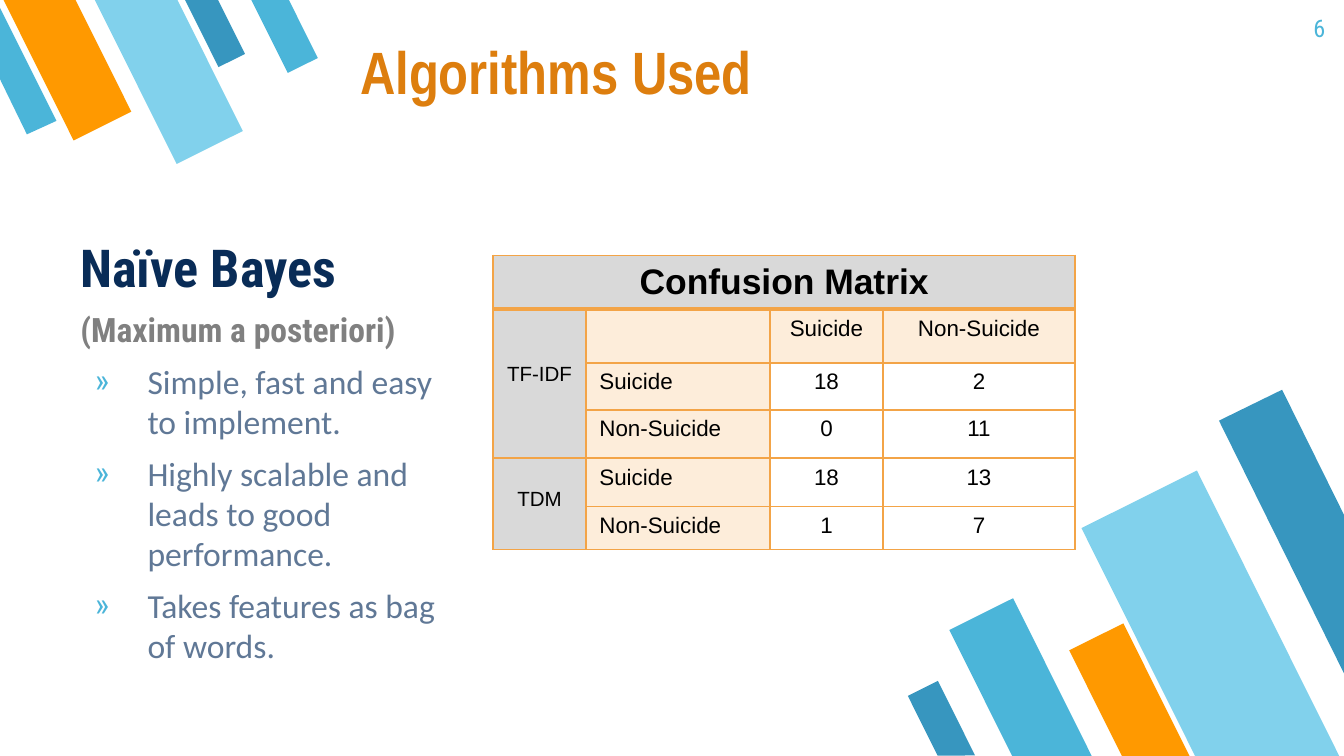
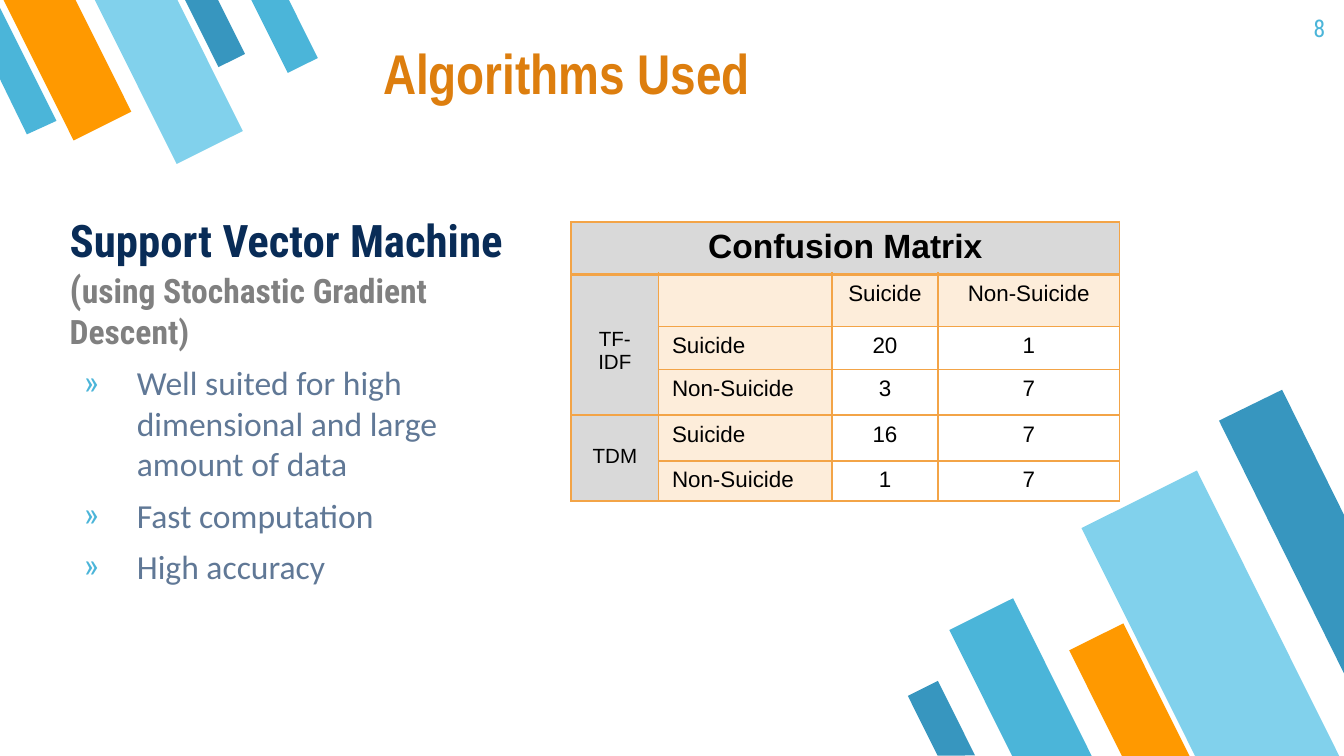
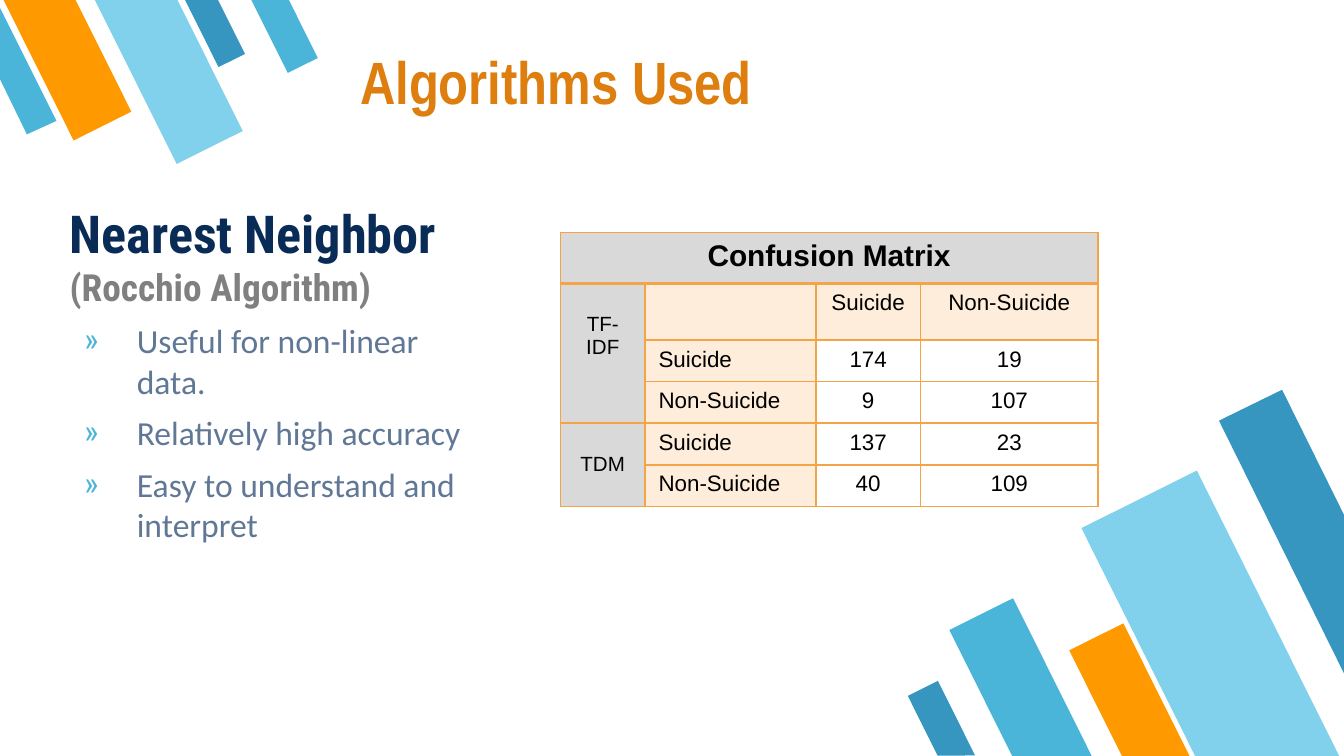
from lxml import etree
from pptx import Presentation
from pptx.dml.color import RGBColor
from pptx.enum.shapes import MSO_SHAPE
from pptx.enum.text import MSO_ANCHOR, MSO_AUTO_SIZE, PP_ALIGN
from pptx.oxml.ns import qn
from pptx.util import Pt

PX = 9144  # EMU per px, 100 px to the inch
BAR = MSO_SHAPE.FLOWCHART_MANUAL_INPUT
LEFT, CENTER, RIGHT = PP_ALIGN.LEFT, PP_ALIGN.CENTER, PP_ALIGN.RIGHT
BOTTOM, TOP = MSO_ANCHOR.BOTTOM, MSO_ANCHOR.TOP
NO_FIT = MSO_AUTO_SIZE.NONE

COLORS = {
    "blue": "4BB5D9", "pale_blue": "81D1EC", "deep_blue": "3796BF", "orange": "FF9900",
    "title": "DD7E0E", "heading": "092C57", "subtitle": "808080", "bullet_text": "607896",
    "border": "F3A447", "grey": "D9D9D9", "cream": "FDEDDA", "black": "000000",
}
FRAME = {"word_wrap": True, "auto_size": NO_FIT, "margin_left": 10 * PX,
         "margin_right": 10 * PX, "margin_top": 10 * PX, "margin_bottom": 10 * PX}

# left, top, width, height, rotation, color
BARS = [
    (733, 450, 53, 132, 153.5, "blue"),
    (853, 359, 96, 239, 153.5, "pale_blue"),
    (818, 468, 45, 111, 153.5, "orange"),
    (688, 509, 25, 62, 153.5, "deep_blue"),
    (149, -8, 22, 56, 333.5, "deep_blue"),
    (26, -18, 48, 118, 333.5, "orange"),
    (98, -20, 55, 137, 333.5, "pale_blue"),
    (199, -10, 25, 62, 333.5, "blue"),
]
CUT_BARS = [
    ([(954, 290), (907, 313), (1000, 501), (1000, 383)], "deep_blue"),
    ([(20, 100), (42, 90), (0, 6), (0, 59)], "blue"),
]

ALGORITHMS = [
    {
        "number": "6", "title_box": (258, 15, 630, 74), "title_size": 32,
        "body_box": (50, 165, 300, 276), "heading": ("Naïve Bayes", 28),
        "subtitle": [("(Maximum a posteriori)", 18)], "subtitle_gap": 6,
        "bullets": ["Simple, fast and easy to implement.",
                    "Highly scalable and leads to good performance.",
                    "Takes features as bag of words."],
        "table_box": (367, 190, 433, 221), "columns": (69, 137, 84, 143),
        "rows": (40, 40, 35, 36, 36, 32), "caption_size": 19, "tfidf_inset": 40,
        "counts": [("18", "2"), ("0", "11"), ("18", "13"), ("1", "7")],
    },
    {
        "number": "8", "title_box": (275, 15, 630, 74), "title_size": 30,
        "body_box": (42, 148, 375, 276), "heading": ("Support Vector Machine", 24),
        "subtitle": [("(", 20), ("using Stochastic Gradient Descent)", 18)], "subtitle_gap": 0,
        "bullets": ["Well suited for high dimensional and large amount of data",
                    "Fast computation", "High accuracy"],
        "table_box": (425, 165, 408, 210), "columns": (65, 129, 79, 135),
        "rows": (39, 39, 32, 34, 34, 30), "caption_size": 18, "tfidf_inset": 40,
        "counts": [("20", "1"), ("3", "7"), ("16", "7"), ("1", "7")],
    },
    {
        "number": None, "title_box": (258, 23, 638, 74), "title_size": 32,
        "body_box": (42, 140, 333, 284), "heading": ("Nearest Neighbor", 28),
        "subtitle": [("(Rocchio Algorithm)", 20)], "subtitle_gap": 0,
        "bullets": ["Useful for non-linear data.", "Relatively high accuracy",
                    "Easy to understand and interpret"],
        "table_box": (417, 173, 400, 205), "columns": (63, 127, 78, 132),
        "rows": (38, 42, 31, 31, 31, 31), "caption_size": 16, "tfidf_inset": 22,
        "counts": [("174", "19"), ("9", "107"), ("137", "23"), ("40", "109")],
    },
]


def add_text(paragraph, text, font, size, color, bold=False):
    run = paragraph.add_run()
    run.text = text
    for name, value in {"name": font, "size": Pt(size), "bold": bold}.items():
        setattr(run.font, name, value)
    run.font.color.rgb = RGBColor.from_string(COLORS[color])


def set_frame(shape, box, anchor):
    """Place a text shape and give it the shared insets and wrapping."""
    shape.left, shape.top, shape.width, shape.height = (length * PX for length in box)
    for name, value in FRAME.items():
        setattr(shape.text_frame, name, value)
    shape.text_frame.vertical_anchor = anchor


presentation = Presentation()
presentation.slide_width = 1000 * PX
presentation.slide_height = presentation.slide_width * 9 // 16
layout = presentation.slide_layouts[5]
for placeholder in list(layout.placeholders):
    if placeholder.placeholder_format.idx != 0:
        placeholder.element.getparent().remove(placeholder.element)
slides = [presentation.slides.add_slide(layout) for algorithm in ALGORITHMS]

# The corner bars are drawn on the first slide, then moved to the shared layout.
bars = []
for *box, rotation, color in BARS:
    bar = slides[0].shapes.add_shape(BAR, *(length * PX for length in box))
    bar.rotation = rotation
    bar.element.spPr.xfrm.set("flipH", "1")
    bars.append((bar, color))
for points, color in CUT_BARS:
    builder = slides[0].shapes.build_freeform(*points[0], scale=PX)
    builder.add_line_segments(points[1:], close=True)
    bars.append((builder.convert_to_shape(), color))
for bar, color in bars:
    bar.shadow.inherit = False
    bar.fill.solid()
    bar.fill.fore_color.rgb = RGBColor.from_string(COLORS[color])
    bar.line.fill.background()
    layout.element.cSld.spTree.append(bar.element)

for slide, algorithm in zip(slides, ALGORITHMS):
    title = slide.shapes.title
    set_frame(title, algorithm["title_box"], BOTTOM)
    paragraph = title.text_frame.paragraphs[0]
    paragraph.alignment = LEFT
    add_text(paragraph, "Algorithms Used", "Arial Narrow", algorithm["title_size"], "title", True)

    body = slide.shapes.add_textbox(0, 0, PX, PX)
    set_frame(body, algorithm["body_box"], TOP)
    heading, heading_size = algorithm["heading"]
    add_text(body.text_frame.paragraphs[0], heading, "Roboto Condensed", heading_size,
             "heading", True)
    paragraph = body.text_frame.add_paragraph()
    paragraph.space_before = Pt(algorithm["subtitle_gap"])
    for text, size in algorithm["subtitle"]:
        add_text(paragraph, text, "Roboto Condensed", size, "subtitle", True)
    for text in algorithm["bullets"]:
        paragraph = body.text_frame.add_paragraph()
        paragraph.space_before = Pt(6)
        add_text(paragraph, text, "Calibri", 18, "bullet_text")
        properties = paragraph._p.get_or_add_pPr()
        properties.set("marL", str(50 * PX))
        properties.set("indent", str(-39 * PX))
        bullet_color = etree.SubElement(properties, qn("a:buClr"))
        etree.SubElement(bullet_color, qn("a:srgbClr"), val=COLORS["blue"])
        etree.SubElement(properties, qn("a:buFont"), typeface="Roboto Condensed")
        etree.SubElement(properties, qn("a:buChar"), char="»")

    if algorithm["number"]:
        number = slide.shapes.add_textbox(0, 0, PX, PX)
        set_frame(number, (936, 0, 60, 43), TOP)
        paragraph = number.text_frame.paragraphs[0]
        paragraph.alignment = RIGHT
        add_text(paragraph, algorithm["number"], "Roboto Condensed", 13, "blue")

    table_box = (length * PX for length in algorithm["table_box"])
    table = slide.shapes.add_table(6, 4, *table_box).table
    table.first_row = table.horz_banding = False
    for column, width in zip(table.columns, algorithm["columns"]):
        column.width = width * PX
    for row, height in zip(table.rows, algorithm["rows"]):
        row.height = height * PX
    for first, last in [((0, 0), (0, 3)), ((1, 0), (3, 0)), ((4, 0), (5, 0))]:
        table.cell(*first).merge(table.cell(*last))

    labels = ["Suicide", "Non-Suicide"]
    matrix = [["Confusion Matrix", "", "", ""], ["TF-IDF", "", *labels]]
    for label, method, counts in zip(labels * 2, ["", "", "TDM", ""], algorithm["counts"]):
        matrix.append([method, label, *counts])
    insets = {"TF-IDF": algorithm["tfidf_inset"], "TDM": 22, "": 0}

    for row, texts in enumerate(matrix):
        for column, text in enumerate(texts):
            cell = table.cell(row, column)
            cell.margin_top = insets.get(text, 5) * PX
            paragraph = cell.text_frame.paragraphs[0]
            paragraph.alignment = LEFT if column == 1 and row > 1 else CENTER
            if text:
                size = algorithm["caption_size"] if row == 0 else 11 if column == 0 else 12
                add_text(paragraph, text, "Arial", size, "black", row == 0)

            properties = cell._tc.get_or_add_tcPr()
            for side in ("L", "R", "T", "B"):
                thick = row == 0 and side == "B"
                border = etree.SubElement(properties, qn(f"a:ln{side}"),
                                          w=str(Pt(2 if thick else 1)))
                fill = etree.SubElement(border, qn("a:solidFill"))
                etree.SubElement(fill, qn("a:srgbClr"), val=COLORS["border"])
            if row > 1 and column > 1:
                cell.fill.background()
            else:
                cell.fill.solid()
                color = "grey" if row == 0 or column == 0 else "cream"
                cell.fill.fore_color.rgb = RGBColor.from_string(COLORS[color])

presentation.save("out.pptx")
